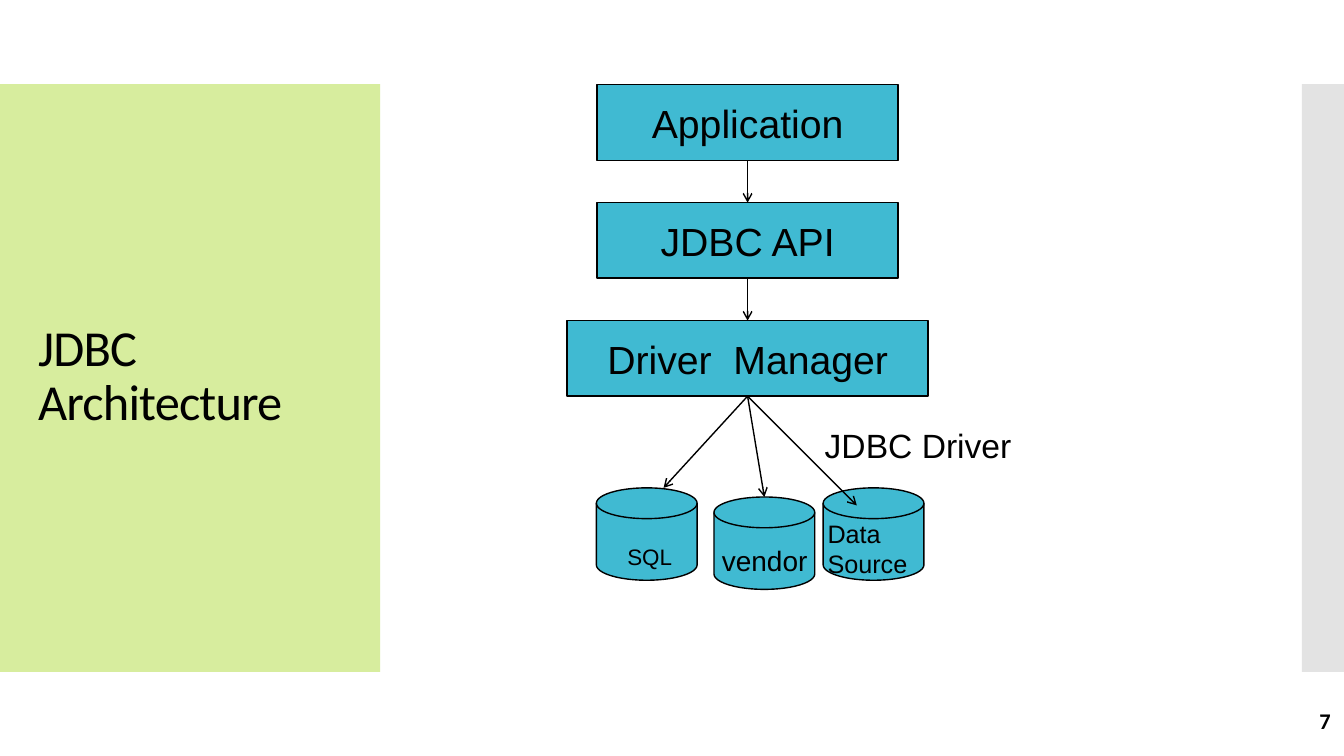
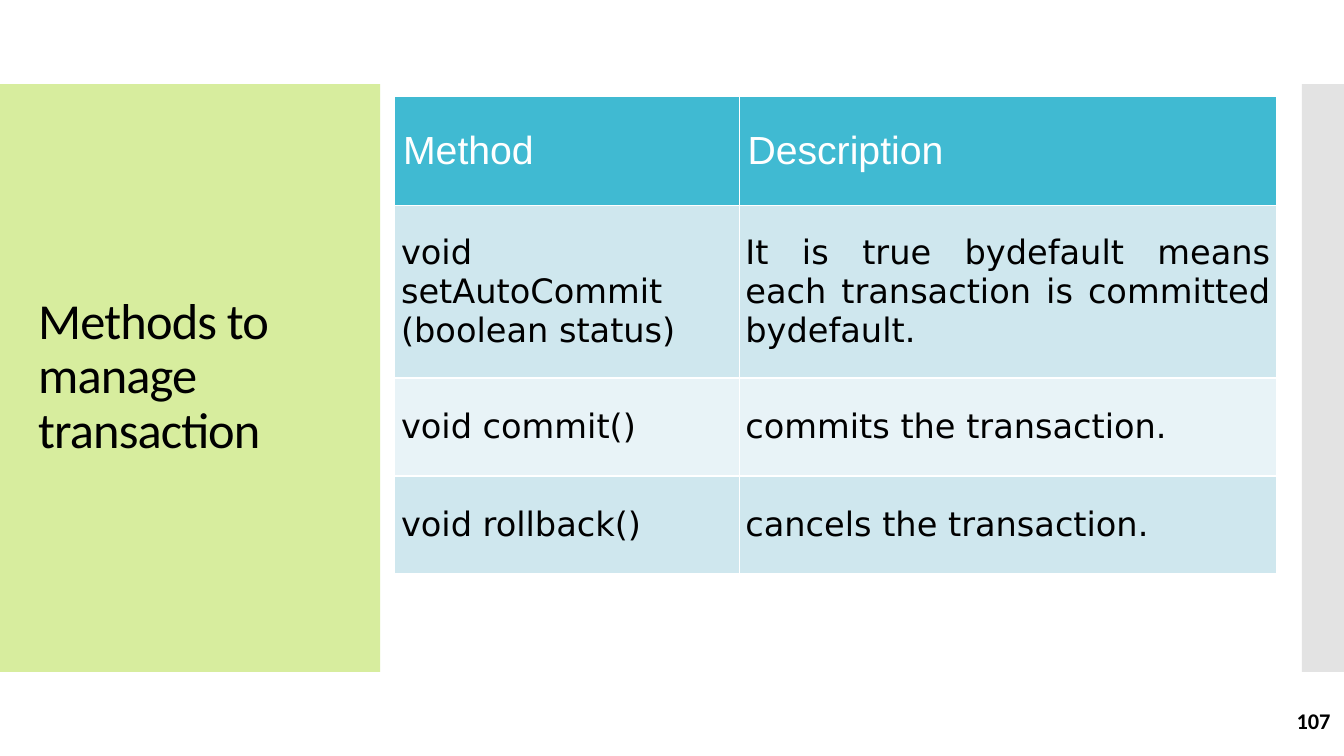
from dataclasses import dataclass

from lxml import etree
from pptx import Presentation
from pptx import slide as sl
from pptx.dml.color import RGBColor
from pptx.enum import shapes, text
from pptx.oxml import ns
from pptx.text import text as txt
from pptx.util import Pt

ALIGN = text.PP_ALIGN
MIDDLE = text.MSO_ANCHOR.MIDDLE


# Theme
@dataclass(frozen=True)
class Theme:
    black: str = "000000"
    white: str = "FFFFFF"
    green: str = "D7ED9E"
    grey: str = "E3E3E3"
    teal: str = "40BAD2"
    row_tints: tuple[str, str] = ("CFE7EE", "E8F3F7")
    heading_font: str = "Calibri"
    body_font: str = "Arial"
    table_font: str = "DejaVu Sans"
    title_size: float = 36
    box_size: float = 28
    text_size: float = 24
    number_size: float = 16


THEME = Theme()


@dataclass(frozen=True)
class Box:
    left: float
    top: float
    width: float
    height: float

    @property
    def emu(self) -> tuple[Pt, Pt, Pt, Pt]:
        return Pt(self.left), Pt(self.top), Pt(self.width), Pt(self.height)

    @property
    def bottom(self) -> float:
        return self.top + self.height


@dataclass(frozen=True)
class Label:
    wording: str
    box: Box
    size: float


@dataclass(frozen=True)
class Source:
    label: Label
    disk: Box
    arrow_tip: tuple[float, float]


BANDS = ((Box(0, 60, 271.5, 420), THEME.green),
         (Box(930, 60, 30, 420), THEME.grey))
TITLE_BOX = Box(20, 88.5, 251.5, 362)
NUMBER_BOX = Box(837.5, 500.5, 120, 29)

# Architecture content
CENTRE = 534
LAYER_TOP, LAYER_STEP, LAYER_HEIGHT = 60.5, 84.25, 54
LAYERS = (("Application", 215), ("JDBC API", 215), ("Driver  Manager", 258))
DRIVER_LABEL = Label("JDBC Driver", Box(582, 300, 188.5, 36), THEME.text_size)
SOURCES = (
    Source(Label("SQL", Box(441, 384.5, 54, 26.5), 16),
           Box(426, 348.5, 72, 66), (474, 348.5)),
    Source(Label("vendor", Box(508.5, 384.5, 80.5, 31.5), 20),
           Box(510, 355, 72, 66), (546, 355)),
    Source(Label("Data Source", Box(584, 366.5, 98.5, 51), 18),
           Box(588, 348.5, 72, 66), (612, 361)),
)

# Transaction content
TABLE_LEFT, TABLE_TOP = 282, 68.5
COLUMN_WIDTHS = (246, 384)
ROW_HEIGHTS = (78.5, 123, 70, 70)
METHODS = (
    ("Method", "Description"),
    ("void setAutoCommit \n(boolean status)",
     "It is true bydefault means each transaction is committed bydefault."),
    ("void commit()", "commits the transaction."),
    ("void rollback()", "cancels the transaction."),
)


# Drawing helpers
def rgb(colour: str) -> RGBColor:
    return RGBColor.from_string(colour)


def write(frame: txt.TextFrame, wording: str, size: float, font: str,
          colour: str = THEME.black, align: ALIGN = ALIGN.LEFT,
          bold: bool = False) -> None:
    frame.text = wording
    frame.word_wrap = True
    for paragraph in frame.paragraphs:
        paragraph.alignment = align
        for run in paragraph.runs:
            run.font.size, run.font.name = Pt(size), font
            run.font.bold = bold
            run.font.color.rgb = rgb(colour)


def add_label(slide: sl.Slide, label: Label) -> None:
    caption = slide.shapes.add_textbox(*label.box.emu)
    write(caption.text_frame, label.wording, label.size, THEME.body_font)


def add_block(slide: sl.Slide, kind: shapes.MSO_SHAPE, box: Box, colour: str,
              outlined: bool = True, wording: str = "") -> None:
    block = slide.shapes.add_shape(kind, *box.emu)
    block.shadow.inherit = False
    block.fill.solid()
    block.fill.fore_color.rgb = rgb(colour)
    if outlined:
        block.line.color.rgb = rgb(THEME.black)
        block.line.width = Pt(1)
    else:
        block.line.fill.background()
    if wording:
        block.text_frame.vertical_anchor = MIDDLE
        write(block.text_frame, wording, THEME.box_size, THEME.body_font,
              align=ALIGN.CENTER)


def add_arrow(slide: sl.Slide, start: tuple[float, float],
              tip: tuple[float, float]) -> None:
    arrow = slide.shapes.add_connector(
        shapes.MSO_CONNECTOR.STRAIGHT, *map(Pt, start + tip))
    arrow.line.color.rgb = rgb(THEME.black)
    arrow.line.width = Pt(1)
    properties = arrow._element.spPr
    etree.SubElement(properties.find(ns.qn("a:ln")), ns.qn("a:tailEnd"),
                     type="arrow")
    etree.SubElement(properties, ns.qn("a:effectLst"))


def add_cell_borders(cell, colour: str) -> None:
    properties = cell._tc.get_or_add_tcPr()
    for side in "LRTB":
        border = etree.SubElement(properties, ns.qn(f"a:ln{side}"),
                                  w=str(Pt(1)))
        fill = etree.SubElement(border, ns.qn("a:solidFill"))
        etree.SubElement(fill, ns.qn("a:srgbClr"), val=colour)


# Shared slide frame: bands, title and number
def add_slide(deck, heading: str, number: int) -> sl.Slide:
    slide = deck.slides.add_slide(deck.slide_layouts[5])
    for box, colour in BANDS:
        add_block(slide, shapes.MSO_SHAPE.RECTANGLE, box, colour,
                  outlined=False)

    title = slide.shapes.title
    slide.shapes._spTree.append(title._element)  # in front of the bands
    title.left, title.top, title.width, title.height = TITLE_BOX.emu
    frame = title.text_frame
    write(frame, heading, THEME.title_size, THEME.heading_font)
    frame.auto_size = text.MSO_AUTO_SIZE.NONE
    frame.vertical_anchor = MIDDLE
    frame.paragraphs[0].line_spacing = 0.9
    for run in frame.paragraphs[0].runs:
        run._r.get_or_add_rPr().set("spc", "-60")

    page = slide.shapes.add_textbox(*NUMBER_BOX.emu).text_frame
    page.vertical_anchor = MIDDLE
    write(page, str(number), THEME.number_size, THEME.heading_font,
          align=ALIGN.RIGHT, bold=True)
    return slide


# Slides
def build_architecture(deck) -> None:
    slide = add_slide(deck, "JDBC Architecture", 7)
    layer_boxes = [
        Box(CENTRE - width / 2, LAYER_TOP + i * LAYER_STEP, width,
            LAYER_HEIGHT)
        for i, (_, width) in enumerate(LAYERS)]
    for (wording, _), box in zip(LAYERS, layer_boxes):
        add_block(slide, shapes.MSO_SHAPE.RECTANGLE, box, THEME.teal,
                  wording=wording)
    for upper, lower in zip(layer_boxes, layer_boxes[1:]):
        add_arrow(slide, (CENTRE, upper.bottom), (CENTRE, lower.top))

    for source in SOURCES:
        add_block(slide, shapes.MSO_SHAPE.FLOWCHART_MAGNETIC_DISK,
                  source.disk, THEME.teal)
        add_arrow(slide, (CENTRE, layer_boxes[-1].bottom), source.arrow_tip)
        add_label(slide, source.label)
    add_label(slide, DRIVER_LABEL)


def build_transactions(deck) -> None:
    slide = add_slide(deck, "Methods to manage transaction", 107)
    box = Box(TABLE_LEFT, TABLE_TOP, sum(COLUMN_WIDTHS), sum(ROW_HEIGHTS))
    methods = slide.shapes.add_table(len(METHODS), len(COLUMN_WIDTHS),
                                     *box.emu).table
    for column, width in zip(methods.columns, COLUMN_WIDTHS):
        column.width = Pt(width)
    for i, (row, height) in enumerate(zip(methods.rows, ROW_HEIGHTS)):
        row.height = Pt(height)
        header = i == 0
        for cell, wording in zip(row.cells, METHODS[i]):
            inset = Pt(6 if header else 4.5)
            cell.margin_left = cell.margin_right = inset
            cell.margin_top = cell.margin_bottom = inset
            cell.vertical_anchor = MIDDLE
            add_cell_borders(cell, THEME.white)
            cell.fill.solid()
            cell.fill.fore_color.rgb = rgb(
                THEME.teal if header else THEME.row_tints[(i - 1) % 2])
            if header:
                write(cell.text_frame, wording, THEME.box_size,
                      THEME.body_font, THEME.white)
            else:
                write(cell.text_frame, wording, THEME.text_size,
                      THEME.table_font, align=ALIGN.JUSTIFY)


def main() -> None:
    deck = Presentation()
    deck.slide_width, deck.slide_height = Pt(960), Pt(540)
    build_architecture(deck)
    build_transactions(deck)
    deck.save("out.pptx")


if __name__ == "__main__":
    main()
